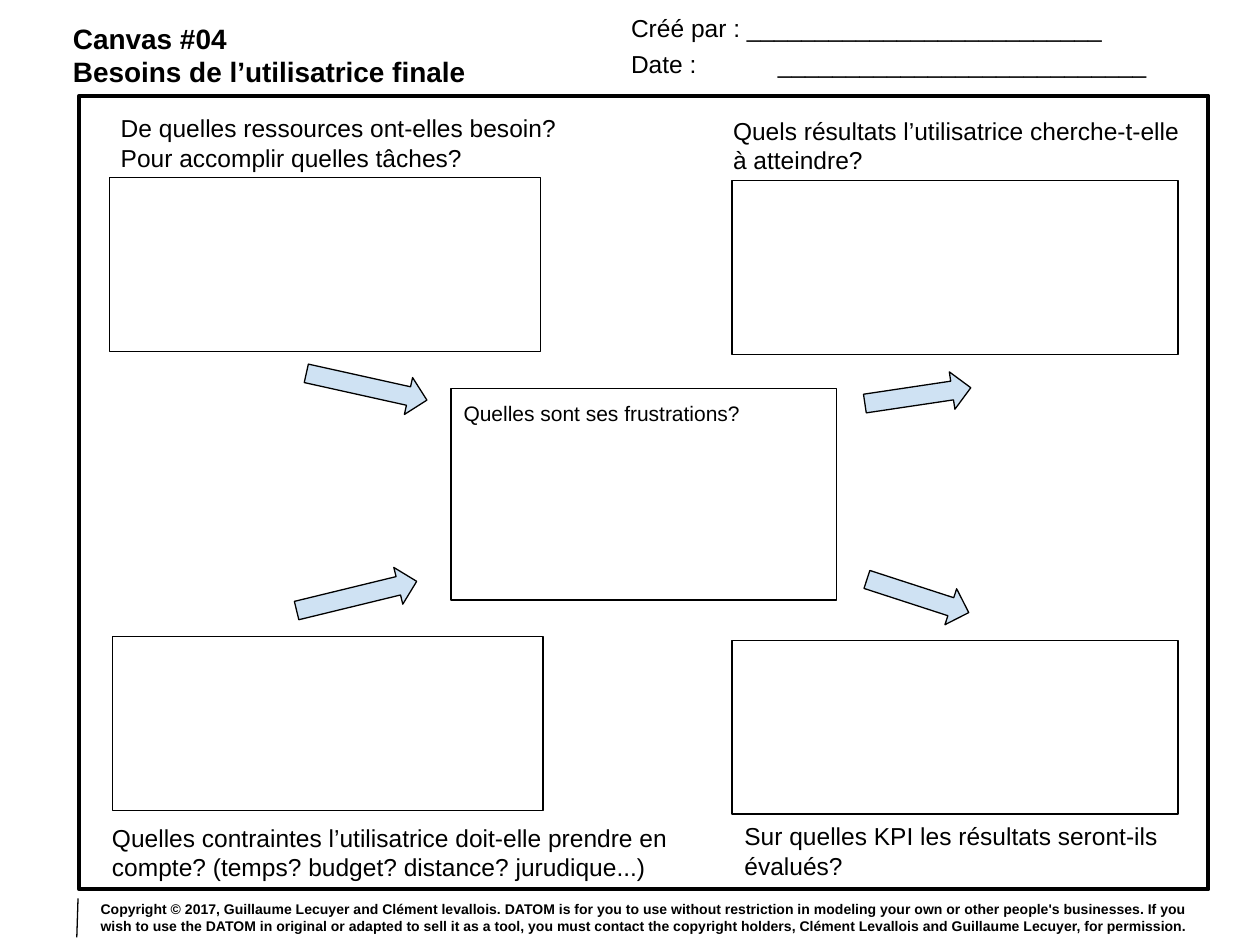
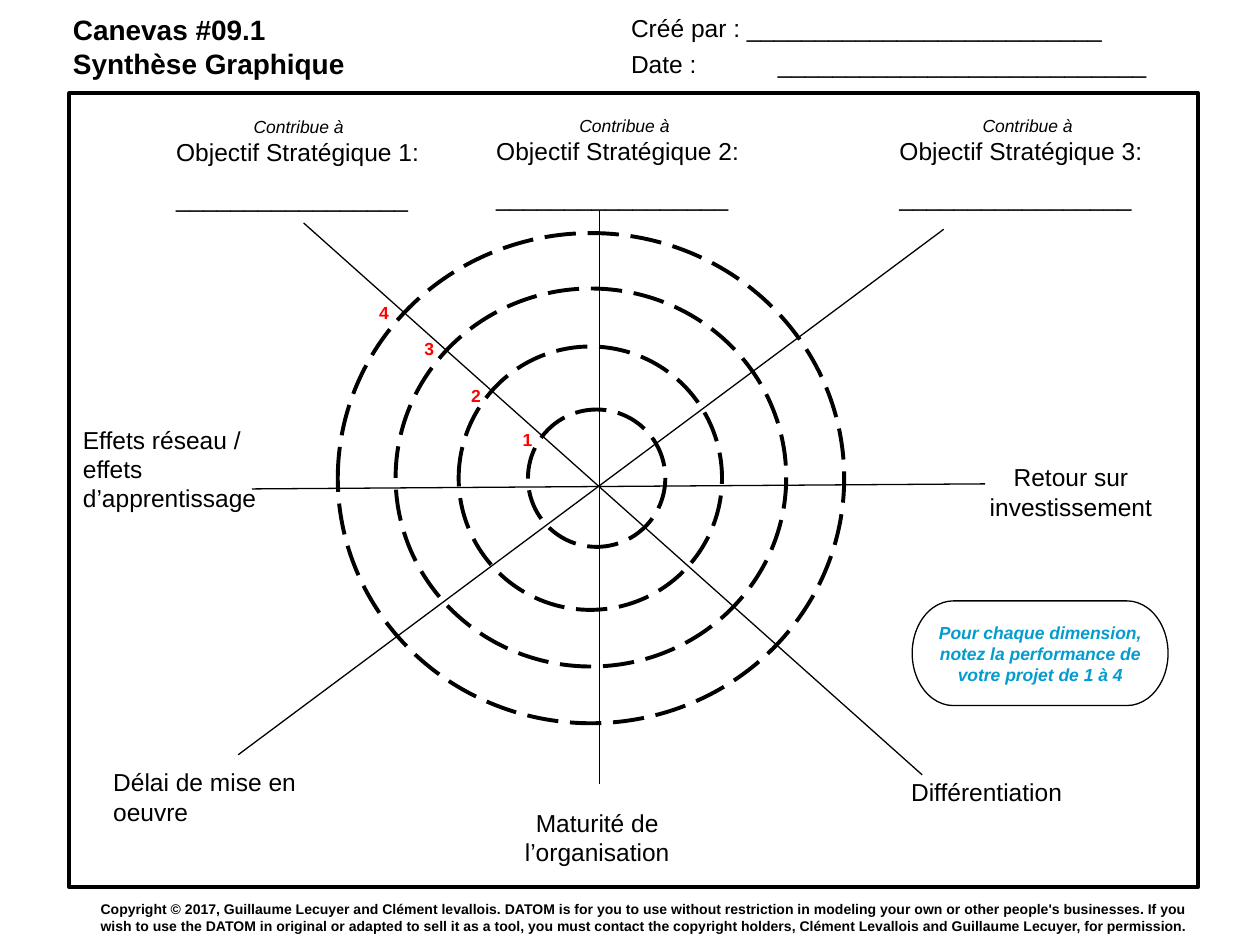
from lxml import etree
from pptx import Presentation
from pptx.dml.color import RGBColor
from pptx.enum.dml import MSO_LINE
from pptx.enum.shapes import MSO_CONNECTOR, MSO_SHAPE
from pptx.enum.text import MSO_ANCHOR, PP_ALIGN
from pptx.oxml.ns import qn
from pptx.util import Pt

RECTANGLE = MSO_SHAPE.RECTANGLE
ELLIPSE = MSO_SHAPE.OVAL
ARROW = MSO_SHAPE.RIGHT_ARROW
TERMINATOR = MSO_SHAPE.FLOWCHART_TERMINATOR
STRAIGHT = MSO_CONNECTOR.STRAIGHT
LONG_DASH = MSO_LINE.LONG_DASH
TOP, MIDDLE = MSO_ANCHOR.TOP, MSO_ANCHOR.MIDDLE
LEFT, CENTER = PP_ALIGN.LEFT, PP_ALIGN.CENTER

COLORS = {"ink": "000000", "arrow": "CFE2F3", "score": "FF0000", "hint": "049CCF"}
THIN, THICK = 0.75, 2.25
INSET = 7.2
DATE_TAB = 83.9
FORMATS = {
    "title": {"size": Pt(16), "bold": True},
    "body": {"size": Pt(14)},
    "question": {"size": Pt(12)},
    "note": {"size": Pt(10), "italic": True},
    "score": {"size": Pt(10), "bold": True},
    "hint": {"size": Pt(10), "bold": True, "italic": True},
    "footer": {"size": Pt(8), "bold": True},
}
COPYRIGHT = (
    "Copyright © 2017, Guillaume Lecuyer and Clément levallois. DATOM is for you to use "
    "without restriction in modeling your own or other people's businesses. If you wish to "
    "use the DATOM in original or adapted to sell it as a tool, you must contact the "
    "copyright holders, Clément Levallois and Guillaume Lecuyer, for permission."
)


def add_outline(slide, kind, box, width=THIN, fill=None):
    shape = slide.shapes.add_shape(kind, *map(Pt, box))
    shape.shadow.inherit = False
    if fill:
        shape.fill.solid()
        shape.fill.fore_color.rgb = RGBColor.from_string(COLORS[fill])
    else:
        shape.fill.background()
    shape.line.color.rgb = RGBColor.from_string(COLORS["ink"])
    shape.line.width = Pt(width)
    return shape


def add_text(slide, box, lines, style="body", align=LEFT, anchor=TOP, shape=None):
    shape = shape or slide.shapes.add_textbox(*map(Pt, box))
    frame = shape.text_frame
    frame.word_wrap = True
    frame.vertical_anchor = anchor
    for side in ("left", "top", "right", "bottom"):
        setattr(frame, f"margin_{side}", Pt(INSET))
    for index, line in enumerate(lines):
        paragraph = frame.add_paragraph() if index else frame.paragraphs[0]
        paragraph.alignment = align
        run = paragraph.add_run()
        run.text = line
        run.font.name = "Arial"
        run.font.color.rgb = RGBColor.from_string(COLORS.get(style, COLORS["ink"]))
        for name, value in FORMATS[style].items():
            setattr(run.font, name, value)
    return frame


presentation = Presentation()
presentation.slide_width = Pt(720)
presentation.slide_height = Pt(540)

pages = [
    (["Canvas #04", "Besoins de l’utilisatrice finale"], 5, (45.4, 54.7)),
    (["Canevas #09.1", "Synthèse Graphique"], 0, (39.6, 53.3)),
]
slides = []
for title, title_top, frame_corner in pages:
    slide = presentation.slides.add_slide(presentation.slide_layouts[6])
    add_outline(slide, RECTANGLE, (*frame_corner, 645.1, 453.6), THICK)
    add_text(slide, (34.6, title_top, 306, 47), title, "title")
    add_text(slide, (353.5, 0, 314, 32.4), ["Créé par : " + "_" * 26])
    date = add_text(slide, (353.5, 20.9, 320, 32.4), ["Date :\t" + "_" * 27])
    properties = date.paragraphs[0]._p.get_or_add_pPr()
    tabs = etree.SubElement(properties, qn("a:tabLst"))
    etree.SubElement(tabs, qn("a:tab"), pos=str(Pt(DATE_TAB)), algn="l")
    add_text(slide, (50.4, 513.4, 645.1, 21.6), [COPYRIGHT], "footer", anchor=MIDDLE)
    slides.append(slide)
needs, radar = slides

answer_boxes = [
    (62.6, 101.5, 246.2, 99.4),
    (418.3, 103, 254.9, 99.4),
    (64.1, 363.6, 246.2, 99.4),
    (418.3, 365.8, 254.9, 99.4),
]
for box in answer_boxes:
    add_outline(needs, RECTANGLE, box)

questions = [
    ((61.9, 57.6, 263.5, 39.6), "De quelles ressources ont-elles besoin? Pour accomplir quelles tâches?"),
    ((411.8, 59, 274.3, 31), "Quels résultats l’utilisatrice cherche-t-elle à atteindre?"),
    ((56.9, 463, 337, 42.5), "Quelles contraintes l’utilisatrice doit-elle prendre en compte? (temps? budget? distance? jurudique...)"),
    ((418.3, 462.2, 254.9, 42.5), "Sur quelles KPI les résultats seront-ils évalués?"),
]
for box, question in questions:
    add_text(needs, box, [question])

frustrations_box = (257.8, 221.8, 220.3, 121)
frustrations = add_outline(needs, RECTANGLE, frustrations_box)
add_text(needs, frustrations_box, ["Quelles sont ses frustrations?"], "question", shape=frustrations)

arrows = [
    (174.2, 210.2, 70.6, 12.5),
    (493.9, 215.3, 61.2, -8.5),
    (168.5, 329.8, 70.6, -13.7),
    (493.9, 329.8, 61.2, 18),
]
for left, top, width, rotation in arrows:
    arrow = add_outline(needs, ARROW, (left, top, width, 21.6), fill="arrow")
    arrow.rotation = rotation

straight_lines = [
    (needs, (44.6, 513.4, 43.9, 535.7)),
    (radar, (342.7, 120.2, 342.7, 447.8)),
    (radar, (144, 279.4, 563, 276.5)),
    (radar, (173.5, 127.4, 527, 442.8)),
    (radar, (539.3, 131, 136.1, 431.3)),
]
for slide, ends in straight_lines:
    connector = slide.shapes.add_connector(STRAIGHT, *map(Pt, ends))
    connector.line.color.rgb = RGBColor.from_string(COLORS["ink"])
    connector.line.width = Pt(THIN)
    etree.SubElement(connector._element.spPr, qn("a:effectLst"))

rings = [
    (301.7, 234, 78.5, 78.5),
    (262.1, 198, 150.5, 150.5),
    (226.1, 164.9, 223.2, 216),
    (193, 133.2, 289.4, 280.1),
]
for box in rings:
    ring = add_outline(radar, ELLIPSE, box, THICK)
    ring.line.dash_style = LONG_DASH

score_corners = [(291.6, 239), (262.1, 213.8), (235.4, 187.2), (209.5, 166.3)]
for score, corner in enumerate(score_corners, 1):
    add_text(radar, (*corner, 25.2, 27), [str(score)], "score")

objectives = [(93.6, 59, 154.1), (276.5, 58.3, 160.6), (506.9, 58.3, 160.6)]
for number, (left, top, width) in enumerate(objectives, 1):
    frame = add_text(
        radar, (left, top, width, 59.8),
        ["Contribue à", f"Objectif Stratégique {number}:", "_" * 17],
    )
    note, _, blank_line = frame.paragraphs
    note.alignment = CENTER
    for name, value in FORMATS["note"].items():
        setattr(note.runs[0].font, name, value)
    blank_line.space_before = Pt(9.6)

dimensions = [
    (550.8, 257, "Retour sur investissement", CENTER),
    (502.6, 437, "Différentiation", CENTER),
    (280.1, 454.3, "Maturité de l’organisation", CENTER),
    (57.6, 431.3, "Délai de mise en oeuvre", LEFT),
    (40.3, 235.4, "Effets réseau / effets d’apprentissage", LEFT),
]
for left, top, dimension, align in dimensions:
    add_text(radar, (left, top, 122.4, 32.4), [dimension], align=align)

hint_box = (521.3, 343.4, 146.2, 59.8)
hint = add_outline(radar, TERMINATOR, hint_box)
add_text(
    radar, hint_box,
    ["Pour chaque dimension, notez la performance de votre projet de 1 à 4"],
    "hint", CENTER, MIDDLE, hint,
)

presentation.save("out.pptx")
